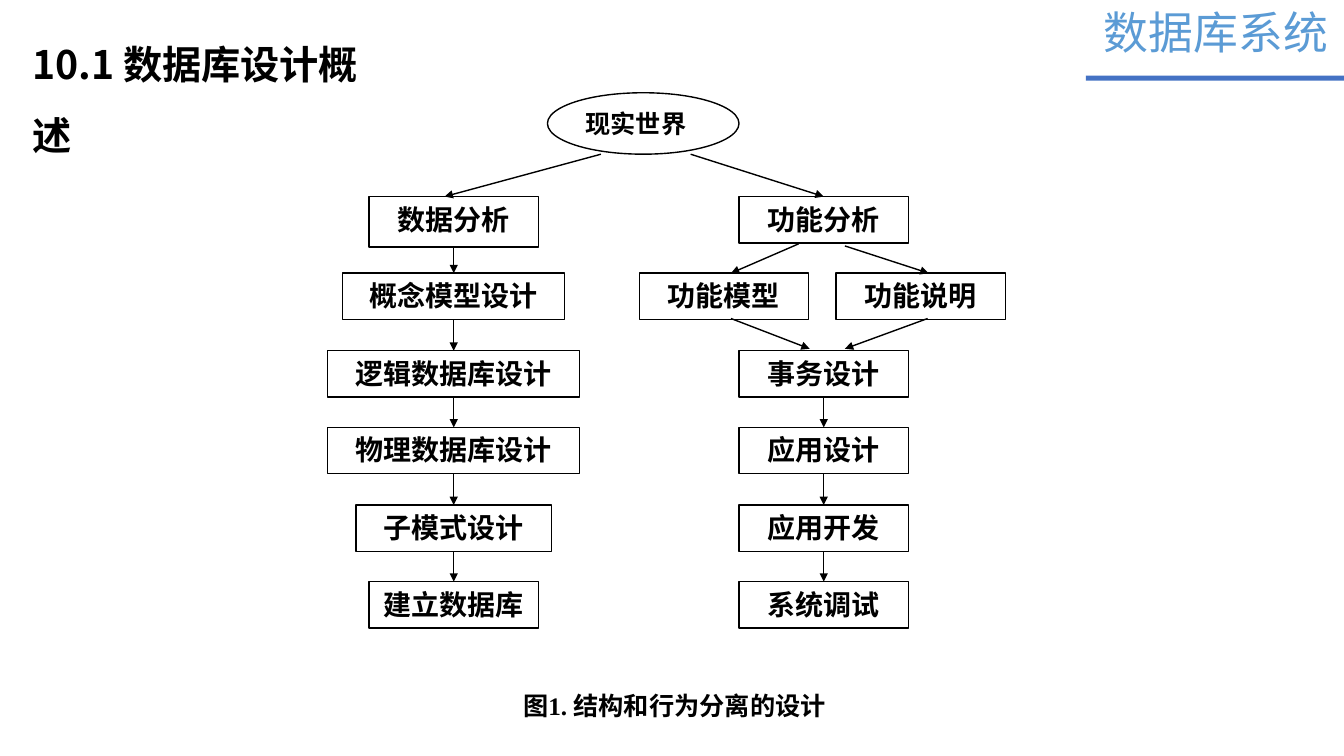
from dataclasses import dataclass
from itertools import pairwise

from lxml import etree
from pptx import Presentation
from pptx import util as u
from pptx.dml.color import RGBColor
from pptx.enum import lang, shapes, text
from pptx.oxml.ns import qn

PX = 9144  # EMU per px, 100 px to the inch
BLACK = RGBColor(0x00, 0x00, 0x00)
WHITE = RGBColor(0xFF, 0xFF, 0xFF)
BLUE = RGBColor(0x44, 0x72, 0xC4)
SKY = RGBColor(0x5B, 0x9B, 0xD5)
SANS = "Noto Sans CJK SC"
SERIF = "Times New Roman"
KIND = shapes.MSO_SHAPE
TOP, BOTTOM = 0, 2


@dataclass(frozen=True)
class Box:
    """A step: its row, the middle of its column, and its size."""
    label: str
    row: int
    mid: int
    width: int = 168
    height: int = 46


@dataclass(frozen=True)
class Arrow:
    x1: int
    y1: int
    x2: int
    y2: int


@dataclass(frozen=True)
class Note:
    words: str
    left: int
    top: int
    width: int
    height: int
    size: int
    font: str
    color: RGBColor = BLACK
    bold: bool = True
    wrap: bool = True
    pitch: float = 1.0
    anchor: text.MSO_ANCHOR = text.MSO_ANCHOR.TOP


LEFT, RIGHT = 450, 817
DATA = [
    Box("数据分析", 0, LEFT, height=50),
    Box("概念模型设计", 1, LEFT, 220),
    Box("逻辑数据库设计", 2, LEFT, 250),
    Box("物理数据库设计", 3, LEFT, 250),
    Box("子模式设计", 4, LEFT, 194),
    Box("建立数据库", 5, LEFT),
]
FUNCTION = Box("功能分析", 0, RIGHT)
MODELS = [Box("功能模型", 1, 718), Box("功能说明", 1, 913)]
USE = [
    Box("事务设计", 2, RIGHT),
    Box("应用设计", 3, RIGHT),
    Box("应用开发", 4, RIGHT),
    Box("系统调试", 5, RIGHT),
]
SLANTED = [
    Arrow(596, 153, 441, 195),
    Arrow(792, 242, 725, 271),
    Arrow(838, 244, 921, 271),
    Arrow(725, 316, 803, 346),
    Arrow(920, 316, 838, 346),
]
NOTES = [
    Note("数据库系统", 1085, 0, 245, 64, 32, SANS, SKY, bold=False, wrap=False),
    Note("图1. 结构和行为分离的设计", 509, 680, 331, 40, 18, SERIF,
         anchor=text.MSO_ANCHOR.MIDDLE),
    Note("10.1 数据库设计概述", 22, 12, 371, 73, 28, SANS, pitch=1.5),
]


def row_top(row: int) -> int:
    return round(195 + 76.4 * row)


def write(frame, words: str, size: int, font: str, color=BLACK, bold=True):
    para = frame.paragraphs[0]
    para.text = words
    para.alignment = text.PP_ALIGN.LEFT
    face = para.font
    face.name, face.size, face.bold = font, u.Pt(size), bold
    face.color.rgb = color
    face.language_id = lang.MSO_LANGUAGE_ID.SIMPLIFIED_CHINESE
    return para


def add_form(slide, kind, left: int, top: int, width: int, height: int,
             fill=WHITE, line=BLACK):
    form = slide.shapes.add_shape(
        kind, left * PX, top * PX, width * PX, height * PX)
    form.shadow.inherit = False
    form.fill.solid()
    form.fill.fore_color.rgb = fill
    if line is None:
        form.line.fill.background()
    else:
        form.line.color.rgb = line
        form.line.width = u.Pt(1)
    return form


def add_box(slide, box: Box):
    form = add_form(slide, KIND.RECTANGLE, box.mid - box.width // 2,
                    row_top(box.row), box.width, box.height)
    frame = form.text_frame
    frame.word_wrap = True
    frame.vertical_anchor = text.MSO_ANCHOR.TOP
    frame.margin_left = frame.margin_right = 10 * PX
    frame.margin_top, frame.margin_bottom = 12 * PX, 5 * PX
    para = write(frame, box.label, 20, SERIF)
    para.alignment = text.PP_ALIGN.CENTER
    para.line_spacing = 0.8
    return form


def add_arrow(slide, arrow: Arrow):
    link = slide.shapes.add_connector(
        shapes.MSO_CONNECTOR.STRAIGHT,
        arrow.x1 * PX, arrow.y1 * PX, arrow.x2 * PX, arrow.y2 * PX)
    link.line.color.rgb = BLACK
    link.line.width = u.Pt(1)
    etree.SubElement(link.line._get_or_add_ln(), qn("a:tailEnd"), type="triangle")
    etree.SubElement(link._element.spPr, qn("a:effectLst"))
    return link


def add_chain(slide, boxes: list[Box]) -> None:
    """Draw boxes down a column, each joined to the next."""
    forms = [add_box(slide, box) for box in boxes]
    for upper, lower in pairwise(forms):
        link = add_arrow(slide, Arrow(0, 0, 0, 0))
        link.begin_connect(upper, BOTTOM)
        link.end_connect(lower, TOP)


def add_note(slide, note: Note) -> None:
    area = slide.shapes.add_textbox(
        note.left * PX, note.top * PX, note.width * PX, note.height * PX)
    frame = area.text_frame
    frame.word_wrap = note.wrap
    frame.auto_size = text.MSO_AUTO_SIZE.SHAPE_TO_FIT_TEXT
    frame.vertical_anchor = note.anchor
    para = write(frame, note.words, note.size, note.font, note.color, note.bold)
    para.line_spacing = note.pitch


def main() -> None:
    deck = Presentation()
    deck.slide_width, deck.slide_height = 1333 * PX, 750 * PX
    slide = deck.slides.add_slide(deck.slide_layouts[6])

    add_form(slide, KIND.RECTANGLE, 1077, 75, 256, 5, BLUE, None)
    world = add_form(slide, KIND.OVAL, 543, 92, 190, 61)
    world.text_frame.word_wrap = True
    world.text_frame.vertical_anchor = text.MSO_ANCHOR.MIDDLE
    write(world.text_frame, "现实世界", 18, SANS)

    add_chain(slide, DATA)
    root = add_box(slide, FUNCTION)
    for box in MODELS:
        add_box(slide, box)
    add_chain(slide, USE)

    for arrow in SLANTED:
        add_arrow(slide, arrow)
    add_arrow(slide, Arrow(685, 153, RIGHT, 195)).end_connect(root, TOP)
    for note in NOTES:
        add_note(slide, note)
    deck.save("out.pptx")


if __name__ == "__main__":
    main()
